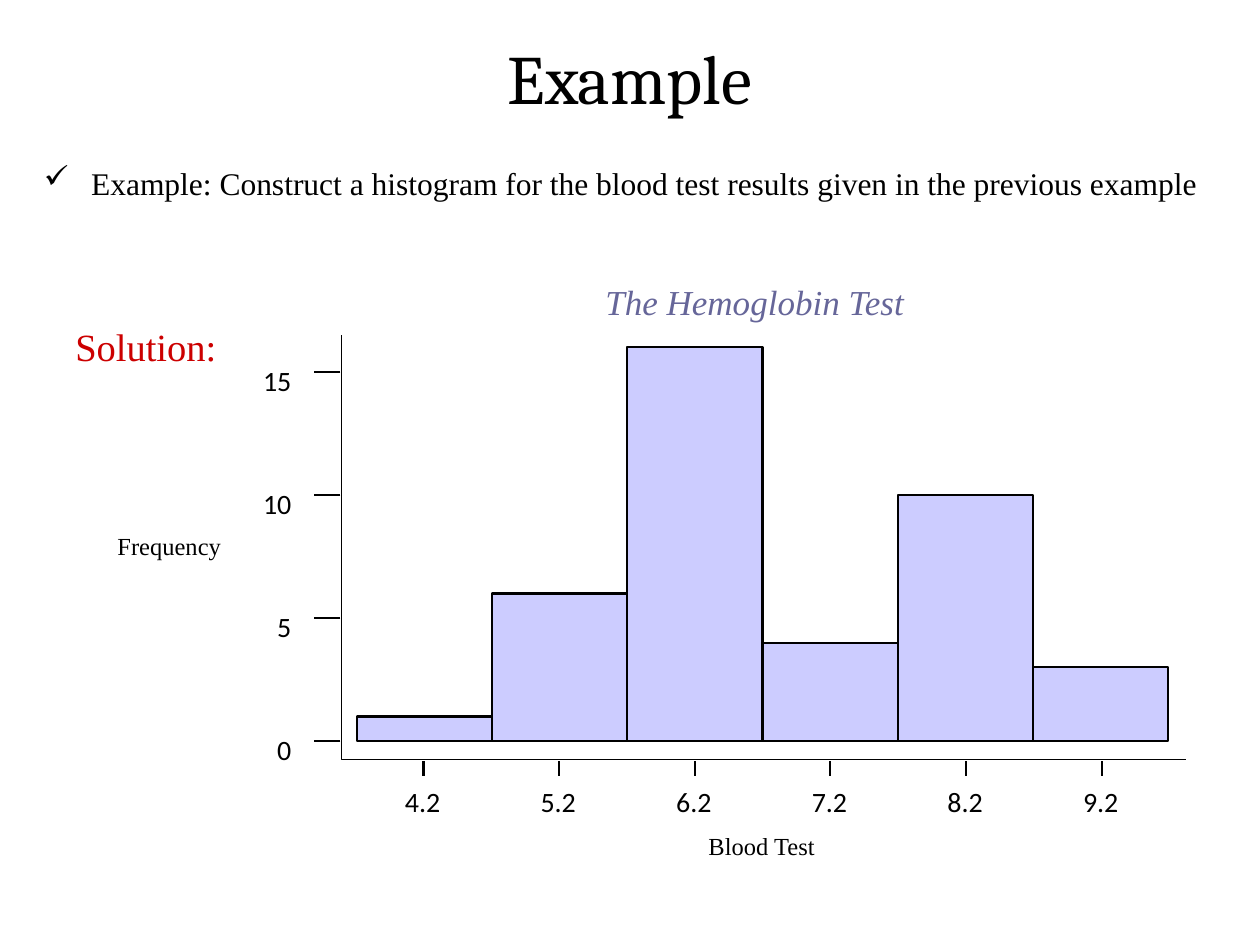
from lxml.etree import SubElement
from pptx import Presentation
from pptx.dml.color import RGBColor
from pptx.enum.shapes import MSO_CONNECTOR, MSO_SHAPE
from pptx.enum.text import MSO_ANCHOR, PP_ALIGN
from pptx.oxml.ns import qn
from pptx.util import Pt

COLORS = {"ink": "000000", "bar": "CCCCFF", "solution": "CC0000", "caption": "666699"}
SERIF = "Times New Roman"

# Histogram data
CLASS_MARKS = ["4.2", "5.2", "6.2", "7.2", "8.2", "9.2"]
FREQUENCIES = [1, 6, 16, 4, 10, 3]
FREQUENCY_TICKS = [0, 5, 10, 15]

# Histogram geometry in points
BAR_LEFT, BAR_WIDTH = 203.8, 77.3
BASELINE, UNIT_HEIGHT = 423.5, 14.06
FIRST_MARK, MARK_STEP = 242, 77.5
AXIS_LEFT, AXIS_TOP, AXIS_RIGHT, AXIS_BOTTOM = 195.2, 191.5, 678, 434


def color(name):
    return RGBColor.from_string(COLORS[name])


def add_text(slide, text, frame, size, font=SERIF, ink="ink", align=PP_ALIGN.LEFT,
             italic=False, wrap=True, inset=True):
    box = slide.shapes.add_textbox(*(Pt(value) for value in frame))
    text_frame = box.text_frame
    text_frame.word_wrap = wrap
    if not inset:
        text_frame.margin_left = text_frame.margin_right = 0
        text_frame.margin_top = text_frame.margin_bottom = 0
    text_frame.text = text
    para = text_frame.paragraphs[0]
    para.alignment = align
    span = para.runs[0]
    span.font.size = Pt(size)
    span.font.name = font
    span.font.italic = italic
    span.font.color.rgb = color(ink)
    return box


def add_bullet(box, symbol, indent):
    para = box.text_frame.paragraphs[0]
    para.space_before = Pt(3.6)
    properties = para._p.get_or_add_pPr()
    properties.set("marL", str(Pt(indent)))
    properties.set("indent", str(-Pt(indent)))
    SubElement(properties, qn("a:buChar")).set("char", symbol)


def add_tick(slide, start_x, start_y, end_x, end_y):
    tick = slide.shapes.add_connector(
        MSO_CONNECTOR.STRAIGHT, Pt(start_x), Pt(start_y), Pt(end_x), Pt(end_y))
    tick.line.color.rgb = color("ink")
    tick.line.width = Pt(1.25)
    SubElement(tick._element.spPr, qn("a:effectLst"))


def add_bar(slide, index, frequency):
    height = frequency * UNIT_HEIGHT
    bar = slide.shapes.add_shape(
        MSO_SHAPE.RECTANGLE, Pt(BAR_LEFT + index * BAR_WIDTH), Pt(BASELINE - height),
        Pt(BAR_WIDTH), Pt(height))
    bar.shadow.inherit = False
    bar.fill.solid()
    bar.fill.fore_color.rgb = color("bar")
    bar.line.color.rgb = color("ink")
    bar.line.width = Pt(1.25)


def add_axes(slide):
    builder = slide.shapes.build_freeform(Pt(AXIS_LEFT), Pt(AXIS_TOP))
    builder.add_line_segments(
        [(Pt(AXIS_LEFT), Pt(AXIS_BOTTOM)), (Pt(AXIS_RIGHT), Pt(AXIS_BOTTOM))], close=False)
    axes = builder.convert_to_shape()
    axes.shadow.inherit = False
    axes.fill.background()
    axes.line.color.rgb = color("ink")
    axes.line.width = Pt(0.75)


def add_histogram(slide):
    # Class marks along the horizontal axis
    for index, mark in enumerate(CLASS_MARKS):
        x = FIRST_MARK + index * MARK_STEP
        add_tick(slide, x, 435, x, 443.5)
        add_text(slide, mark, (x - 13, 448.5, 25, 19.5), 16, "Calibri",
                 align=PP_ALIGN.CENTER, inset=False)

    # Frequency scale along the vertical axis
    for value in FREQUENCY_TICKS:
        y = BASELINE - value * UNIT_HEIGHT
        add_tick(slide, 194.5, y, 179.5, y)
        add_text(slide, str(value), (141.5, y - 5, 25, 19.5), 16, "Calibri",
                 align=PP_ALIGN.RIGHT, inset=False)

    for index, frequency in enumerate(FREQUENCIES):
        add_bar(slide, index, frequency)
    add_axes(slide)

    # Axis titles and caption
    add_text(slide, "Frequency", (60, 300, 78.5, 24), 14, wrap=False)
    add_text(slide, "Blood Test", (194.5, 471.5, 481.5, 24), 14, align=PP_ALIGN.CENTER)
    add_text(slide, "The Hemoglobin Test", (195, 156.5, 472.5, 31), 20, ink="caption",
             align=PP_ALIGN.CENTER, italic=True)


def main():
    deck = Presentation()
    deck.slide_width, deck.slide_height = Pt(720), Pt(540)
    slide = deck.slides.add_slide(deck.slide_layouts[6])

    # Heading and task
    title = add_text(slide, "Example", (36, 21.5, 648, 45), 39.6, "Cambria",
                     align=PP_ALIGN.CENTER)
    title.text_frame.vertical_anchor = MSO_ANCHOR.MIDDLE
    task = add_text(
        slide,
        "Example: Construct a histogram for the blood test results given in the previous example",
        (18, 90, 690, 36), 18)
    add_bullet(task, "✓", 27)

    # Solution
    add_text(slide, "Solution:", (36, 181, 100, 34), 22, ink="solution", wrap=False)
    add_histogram(slide)
    deck.save("out.pptx")


if __name__ == "__main__":
    main()
